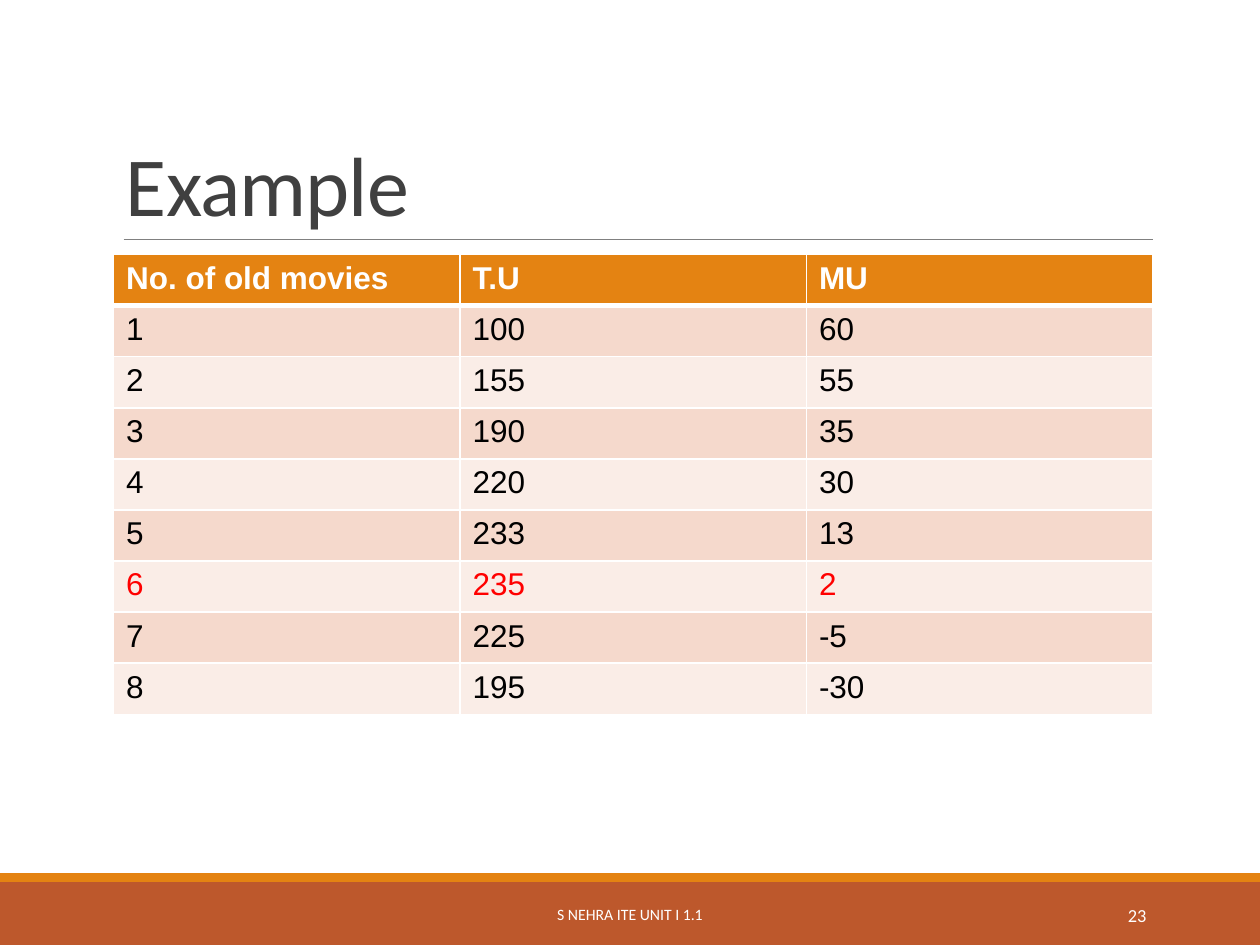
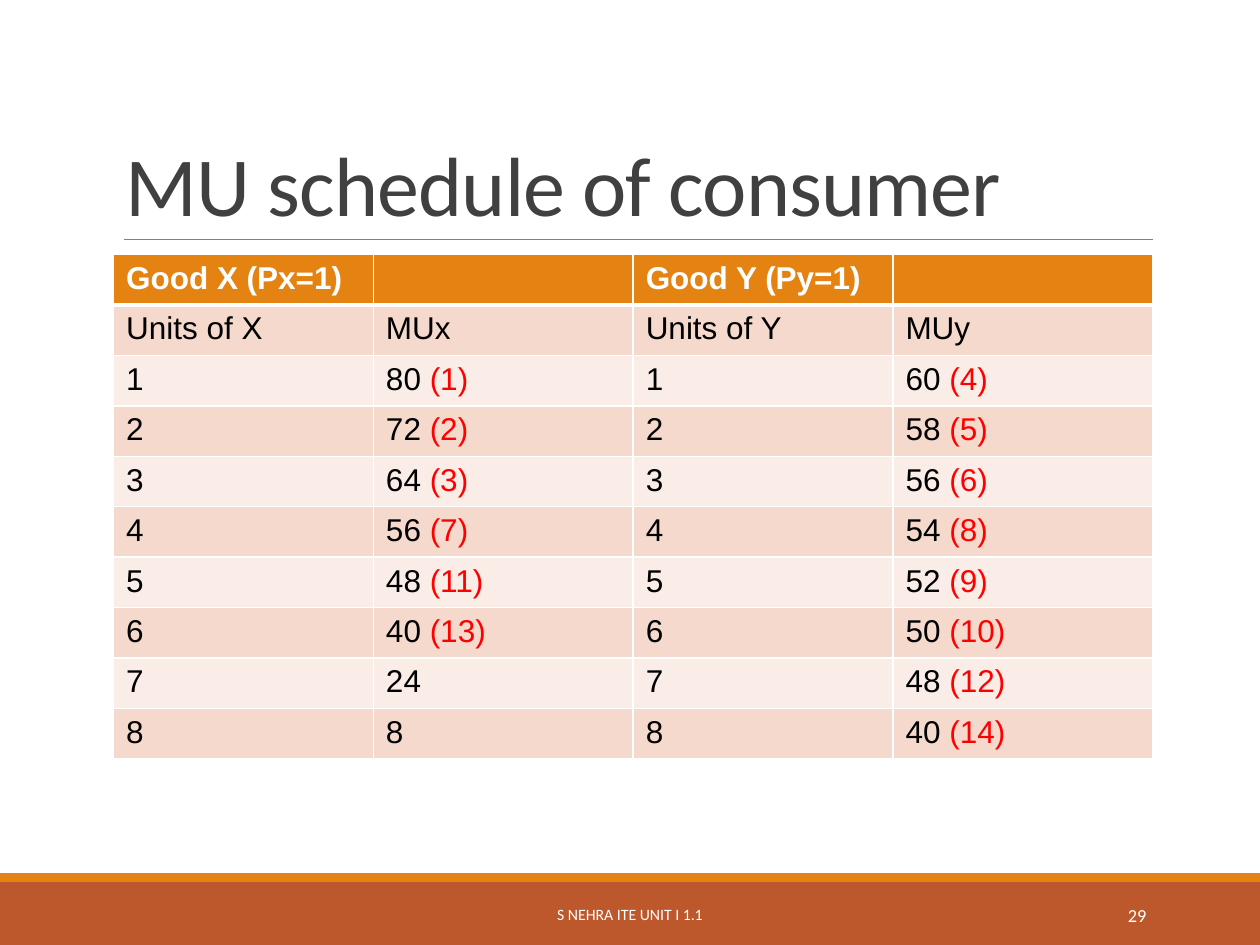
from lxml import etree
from pptx import Presentation
from pptx.dml.color import RGBColor
from pptx.enum.shapes import MSO_CONNECTOR, MSO_SHAPE
from pptx.enum.text import MSO_ANCHOR, PP_ALIGN
from pptx.oxml.ns import qn
from pptx.util import Cm, Pt

# Shared look
ORANGE = "E48312"
RUST = "BD582C"
WHITE = "FFFFFF"
BLACK = "000000"
RED = "FF0000"
TITLE_GREY = "404040"
RULE_GREY = "808080"
ROW_FILLS = ("F5D9CC", "FAEDE7")

SLIDE_WIDTH, SLIDE_HEIGHT = 25.4, 19.05
TABLE_LEFT, TABLE_TOP, TABLE_WIDTH = 2.29, 5.13, 20.95
FOOTER_TEXT = "S NEHRA ITE UNIT I 1.1"

# Slide content
UTILITY_HEADER = ["No. of old movies", "T.U", "MU"]
UTILITY_ROWS = [
    (1, 100, 60), (2, 155, 55), (3, 190, 35), (4, 220, 30),
    (5, 233, 13), (6, 235, 2), (7, 225, -5), (8, 195, -30),
]
SATURATION_UNIT = 6

SCHEDULE_HEADER = ["Good X (Px=1)", "", "Good Y (Py=1)", ""]
SCHEDULE_LABELS = ["Units of X", "MUx", "Units of Y", "MUy"]
# Marginal utility and order of purchase, for each unit
GOOD_X = [(80, 1), (72, 2), (64, 3), (56, 7), (48, 11), (40, 13), (24, None), (8, None)]
GOOD_Y = [(60, 4), (58, 5), (56, 6), (54, 8), (52, 9), (50, 10), (48, 12), (40, 14)]


def color(hex_string):
    return RGBColor.from_string(hex_string)


def add_run(paragraph, text, font="Arial", size=18, fill=BLACK, bold=False, spacing=None):
    run = paragraph.add_run()
    run.text = text
    run.font.name = font
    run.font.size = Pt(size)
    run.font.bold = bold
    run.font.color.rgb = color(fill)
    if spacing is not None:
        run.font._element.set("spc", str(int(spacing * 100)))


def add_text(slide, text, left, top, width, height, align=PP_ALIGN.LEFT,
             anchor=MSO_ANCHOR.MIDDLE, line_spacing=None, **run_format):
    box = slide.shapes.add_textbox(Cm(left), Cm(top), Cm(width), Cm(height))
    frame = box.text_frame
    frame.word_wrap = True
    frame.vertical_anchor = anchor
    paragraph = frame.paragraphs[0]
    paragraph.alignment = align
    paragraph.line_spacing = line_spacing
    add_run(paragraph, text, font="Calibri", **run_format)


def add_band(slide, top, height, fill):
    band = slide.shapes.add_shape(
        MSO_SHAPE.RECTANGLE, 0, Cm(top), Cm(SLIDE_WIDTH), Cm(height))
    band.shadow.inherit = False
    band.fill.solid()
    band.fill.fore_color.rgb = color(fill)
    band.line.fill.background()


def add_rule(slide, left, right, top):
    rule = slide.shapes.add_connector(
        MSO_CONNECTOR.STRAIGHT, Cm(left), Cm(top), Cm(right), Cm(top))
    rule.line.color.rgb = color(RULE_GREY)
    rule.line.width = Pt(0.5)
    etree.SubElement(rule._element.spPr, qn("a:effectLst"))


def add_cell_borders(cell, top=1, bottom=1):
    properties = cell._tc.get_or_add_tcPr()
    for side, width in (("L", 1), ("R", 1), ("T", top), ("B", bottom)):
        border = etree.SubElement(properties, qn(f"a:ln{side}"), w=str(Pt(width)))
        fill = etree.SubElement(border, qn("a:solidFill"))
        etree.SubElement(fill, qn("a:srgbClr"), val=WHITE)


def add_banded_table(slide, header, rows, row_height):
    """Each body cell is a list of (text, colour) runs."""
    header_cells = [[(text, WHITE)] if text else [] for text in header]
    all_rows = [header_cells, *rows]
    table = slide.shapes.add_table(
        len(all_rows), len(header), Cm(TABLE_LEFT), Cm(TABLE_TOP),
        Cm(TABLE_WIDTH), Cm(row_height * len(all_rows))).table
    for row_index, cells in enumerate(all_rows):
        is_header = row_index == 0
        row_fill = ORANGE if is_header else ROW_FILLS[(row_index - 1) % 2]
        for column_index, runs in enumerate(cells):
            cell = table.cell(row_index, column_index)
            add_cell_borders(cell, top=3 if row_index == 1 else 1,
                             bottom=3 if is_header else 1)
            cell.fill.solid()
            cell.fill.fore_color.rgb = color(row_fill)
            for text, text_color in runs:
                add_run(cell.text_frame.paragraphs[0], text,
                        fill=text_color, bold=is_header)


def add_slide(presentation, title, number):
    slide = presentation.slides.add_slide(presentation.slide_layouts[6])
    # Bands and title rule
    add_band(slide, 17.78, 1.27, RUST)
    add_band(slide, 17.6, 0.18, ORANGE)
    add_rule(slide, 2.49, 23.24, 4.83)
    # Title and footer
    add_text(slide, title, TABLE_LEFT, 0.79, TABLE_WIDTH, 4.04, size=48,
             fill=TITLE_GREY, spacing=-0.5, anchor=MSO_ANCHOR.BOTTOM, line_spacing=0.85)
    add_text(slide, FOOTER_TEXT, 7.67, 17.93, 10.06, 1.02, size=9,
             fill=WHITE, align=PP_ALIGN.CENTER)
    add_text(slide, str(number), 20.62, 17.93, 2.74, 1.02, size=10.5,
             fill=WHITE, align=PP_ALIGN.RIGHT)
    return slide


def utility_row(values):
    text_color = RED if values[0] == SATURATION_UNIT else BLACK
    return [[(str(value), text_color)] for value in values]


def utility_with_order(utility, order):
    if order is None:
        return [(str(utility), BLACK)]
    return [(f"{utility} ", BLACK), (f"({order})", RED)]


def schedule_row(unit, x, y):
    unit_cell = [(str(unit), BLACK)]
    return [unit_cell, utility_with_order(*x), unit_cell, utility_with_order(*y)]


def main():
    presentation = Presentation()
    presentation.slide_width = Cm(SLIDE_WIDTH)
    presentation.slide_height = Cm(SLIDE_HEIGHT)

    # Total and marginal utility
    slide = add_slide(presentation, "Example", 23)
    add_banded_table(slide, UTILITY_HEADER, [utility_row(row) for row in UTILITY_ROWS], 1.03)

    # Marginal utility of two goods
    slide = add_slide(presentation, "MU schedule of consumer", 29)
    rows = [[[(label, BLACK)] for label in SCHEDULE_LABELS]]
    rows += [schedule_row(unit, x, y) for unit, (x, y) in enumerate(zip(GOOD_X, GOOD_Y), 1)]
    add_banded_table(slide, SCHEDULE_HEADER, rows, 0.99)

    presentation.save("out.pptx")


if __name__ == "__main__":
    main()
